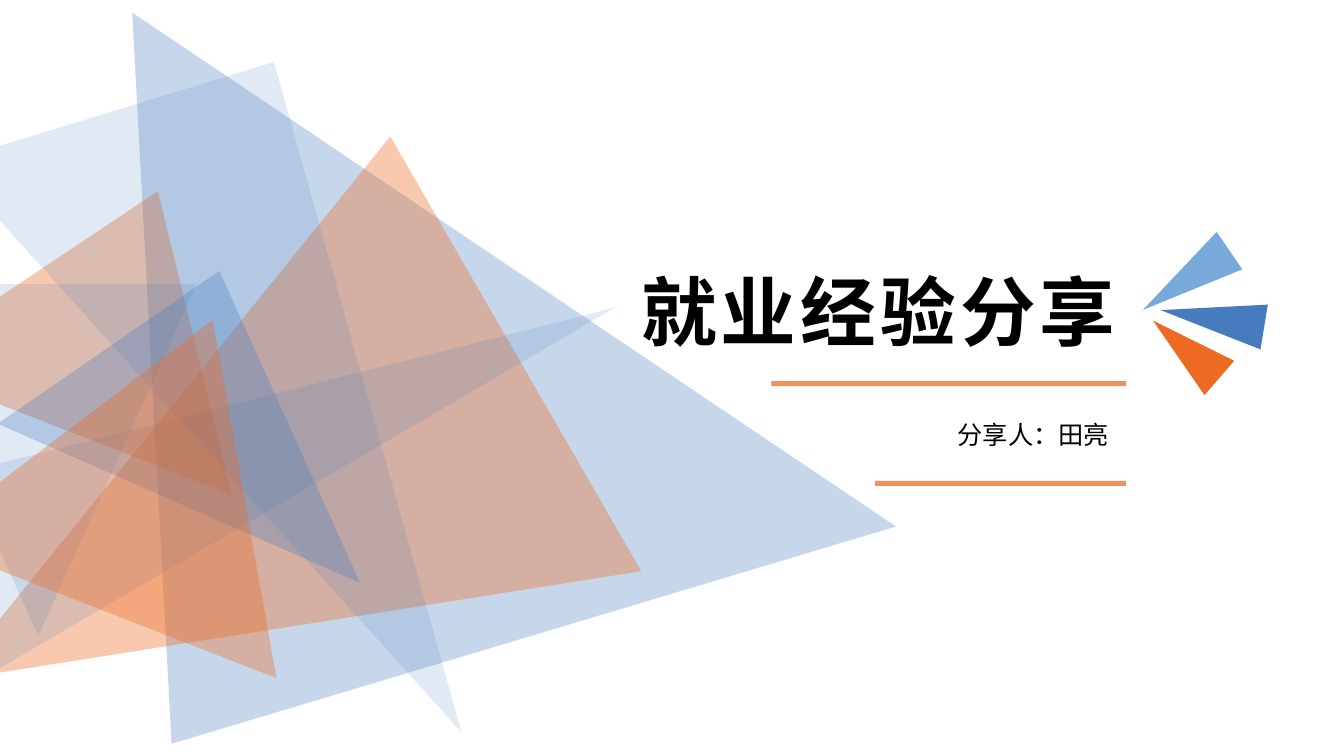
import pptx
import pptx.util
import pptx.dml.color
import pptx.enum.shapes
import pptx.enum.text
import pptx.oxml.ns
from lxml import etree
from dataclasses import dataclass


@dataclass(frozen=True)
class Theme:
    blue: str = "467BBD"
    sky: str = "77AADB"
    orange: str = "ED6A23"
    black: str = "000000"
    font: str = "Noto Sans CJK SC"
    title_size: int = 54
    speaker_size: int = 18
    title_spacing: int = 3


theme = Theme()
COLS, ROWS = 13.33, 7.5
CELL = pptx.util.Inches(1)

# left, top, width, height, rotation, apex share, colour, opacity
BACKDROP = [
    (0.53, -0.61, 7.5, 7.06, 343.3, 0.228, theme.blue, 30),
    (-0.18, 1.89, 4.98, 6.48, 240, 0.5, theme.orange, 36),
    (1.82, 0.86, 2.01, 7.07, 67.7, 0.5, theme.blue, 16),
    (-0.67, 1.81, 3.55, 2.54, 21.3, 0.5, theme.orange, 36),
    (0.69, 3.15, 2.67, 3.34, 145.4, 0.228, theme.blue, 30),
    (0.41, 0.96, 3.39, 6.9, 163, 0.049, theme.blue, 16),
    (-1.19, 2.82, 3.14, 3.49, 180, 0.5, theme.blue, 16),
    (-0.33, 3.07, 3.76, 3.08, 21.3, 0.5, theme.orange, 36),
]
RAYS = [
    (11.54, 3.03, 0.45, 0.87, 310.9, 0.5, theme.orange, 100),
    (11.54, 2.26, 0.45, 1.04, 235.6, 0.5, theme.sky, 100),
    (11.8, 2.64, 0.45, 1.04, 279.3, 0.5, theme.blue, 100),
]
RULE_RIGHT, RULE_HEIGHT, RULE_OPACITY = 11.17, 0.05, 74
RULES = [(3.78, 3.52), (4.77, 2.49)]
TITLE = ("就业经验分享", (6.26, 2.58, 4.95, 1.01), theme.title_size, True, theme.title_spacing)
SPEAKER = ("分享人：田亮", (9.4, 4.11, 1.7, 0.4), theme.speaker_size, False, 0)


def place(*cells):
    return [round(c * CELL) for c in cells]


def add_filled(shapes, kind, box, color, opacity):
    sp = shapes.add_shape(kind, *place(*box))
    sp.shadow.inherit = False
    sp.line.fill.background()
    sp.fill.solid()
    sp.fill.fore_color.rgb = pptx.dml.color.RGBColor.from_string(color)
    if opacity < 100:
        clr = sp.fill._xPr.find(".//" + pptx.oxml.ns.qn("a:srgbClr"))
        etree.SubElement(clr, pptx.oxml.ns.qn("a:alpha"), val=str(opacity * 1000))
    return sp


def add_triangles(slide, triangles):
    group = slide.shapes.add_group_shape()
    for *box, rotation, apex, color, opacity in triangles:
        kind = pptx.enum.shapes.MSO_SHAPE.ISOSCELES_TRIANGLE
        sp = add_filled(group.shapes, kind, box, color, opacity)
        sp.adjustments[0] = apex
        sp.rotation = rotation


def add_label(slide, text, box, size, bold, spacing):
    tf = slide.shapes.add_textbox(*place(*box)).text_frame
    tf.word_wrap = False
    tf.auto_size = pptx.enum.text.MSO_AUTO_SIZE.SHAPE_TO_FIT_TEXT
    p = tf.paragraphs[0]
    r = p.add_run()
    r.text = text
    p.font.size = pptx.util.Pt(size)
    p.font.bold = bold
    p.font.name = theme.font
    p.font.color.rgb = pptx.dml.color.RGBColor.from_string(theme.black)
    rPr = r._r.get_or_add_rPr()
    etree.SubElement(rPr, pptx.oxml.ns.qn("a:ea"), typeface=theme.font)
    if spacing:
        rPr.set("spc", str(spacing * 100))


def main():
    prs = pptx.Presentation()
    prs.slide_width, prs.slide_height = place(COLS, ROWS)
    slide = prs.slides.add_slide(prs.slide_layouts[6])
    add_triangles(slide, BACKDROP)
    add_label(slide, *TITLE)
    add_triangles(slide, RAYS)
    for top, width in RULES:
        box = (RULE_RIGHT - width, top, width, RULE_HEIGHT)
        add_filled(slide.shapes, pptx.enum.shapes.MSO_SHAPE.RECTANGLE, box, theme.orange, RULE_OPACITY)
    add_label(slide, *SPEAKER)
    prs.save("out.pptx")


if __name__ == "__main__":
    main()
